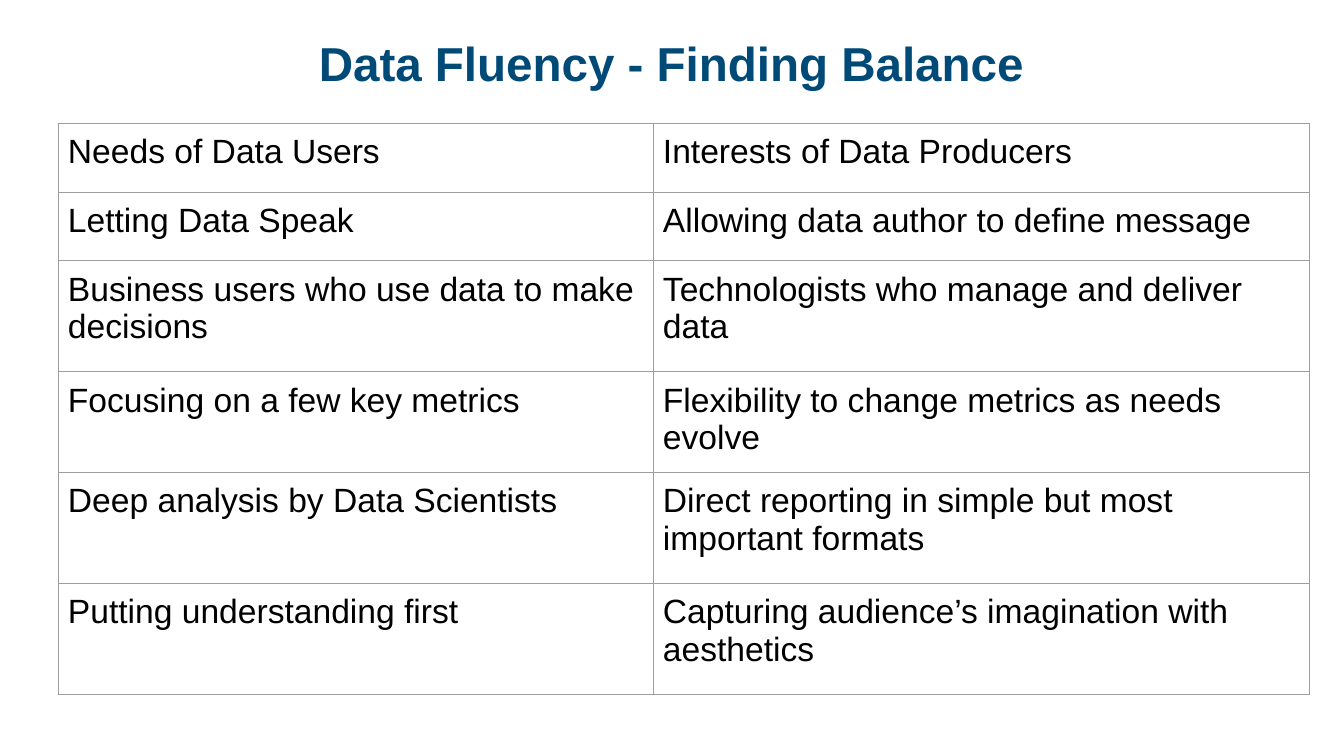
from lxml import etree
from pptx import Presentation
from pptx.dml.color import RGBColor
from pptx.enum.text import MSO_ANCHOR, PP_ALIGN
from pptx.oxml.ns import qn
from pptx.util import Pt

CENTER, LEFT, TOP = PP_ALIGN.CENTER, PP_ALIGN.LEFT, MSO_ANCHOR.TOP
NAVY = RGBColor(0x00, 0x4A, 0x78)
BLACK = RGBColor(0x00, 0x00, 0x00)
GREY = RGBColor(0x9E, 0x9E, 0x9E)
PX_PER_INCH = 100.8
TITLE_FONT = {"name": "Arial", "size": Pt(34), "bold": True}
CELL_FONT = {"name": "Arial", "size": Pt(24), "bold": False}
CELL_MARGIN = 10
COL_WIDTHS = [595, 656]
ROW_HEIGHTS = [69, 69, 111, 69, 111, 111]
ROWS = [
    ("Needs of Data Users", "Interests of Data Producers"),
    ("Letting Data Speak", "Allowing data author to define message"),
    ("Business users who use data to make decisions",
     "Technologists who manage and deliver data"),
    ("Focusing on a few key metrics",
     "Flexibility to change metrics as needs evolve"),
    ("Deep analysis by Data Scientists",
     "Direct reporting in simple but most important formats"),
    ("Putting understanding first",
     "Capturing audience’s imagination with aesthetics"),
]


def px(n):
    """Turn pixels into EMU."""
    return round(n * 914400 / PX_PER_INCH)


def set_attrs(obj, values):
    """Set each attribute in a dict on an object."""
    for name, value in values.items():
        setattr(obj, name, value)


def margins(n):
    """Give equal margins for a text frame or cell."""
    return {f"margin_{side}": px(n) for side in ("left", "right", "top", "bottom")}


def write_text(tf, text, font, color, align):
    """Write one formatted paragraph and return it."""
    p = tf.paragraphs[0]
    p.alignment = align
    r = p.add_run()
    r.text = text
    set_attrs(r.font, font)
    r.font.color.rgb = color
    return p


def add_title(s, text, x, y, w, h):
    """Add the centred slide title."""
    tf = s.shapes.add_textbox(px(x), px(y), px(w), px(h)).text_frame
    set_attrs(tf, {"word_wrap": True, "vertical_anchor": TOP, **margins(0)})
    write_text(tf, text, TITLE_FONT, NAVY, CENTER).line_spacing = 0.9


def add_borders(cell):
    """Draw a thin grey line on all four cell edges."""
    tcPr = cell._tc.get_or_add_tcPr()
    for i, tag in enumerate(("a:lnL", "a:lnR", "a:lnT", "a:lnB")):
        ln = etree.Element(qn(tag), w=str(Pt(0.75)))
        fill = etree.SubElement(ln, qn("a:solidFill"))
        etree.SubElement(fill, qn("a:srgbClr"), val=str(GREY))
        tcPr.insert(i, ln)


def add_table(s, x, y):
    """Add the comparison table of users and producers."""
    table = s.shapes.add_table(len(ROWS), len(COL_WIDTHS), px(x), px(y),
                               px(sum(COL_WIDTHS)), px(sum(ROW_HEIGHTS))).table
    set_attrs(table, {"first_row": False, "horz_banding": False})
    for col, width in zip(table.columns, COL_WIDTHS):
        col.width = px(width)
    for row, height, texts in zip(table.rows, ROW_HEIGHTS, ROWS):
        row.height = px(height)
        for cell, text in zip(row.cells, texts):
            set_attrs(cell, {"vertical_anchor": TOP, **margins(CELL_MARGIN)})
            cell.fill.background()
            add_borders(cell)
            write_text(cell.text_frame, text, CELL_FONT, BLACK, LEFT)


def main():
    """Build and save the slide."""
    prs = Presentation()
    set_attrs(prs, {"slide_width": px(1344), "slide_height": px(756)})
    s = prs.slides.add_slide(prs.slide_layouts[6])
    add_title(s, "Data Fluency - Finding Balance", 92, 40, 1159, 74)
    add_table(s, 58, 123)
    prs.save("out.pptx")


if __name__ == "__main__":
    main()
